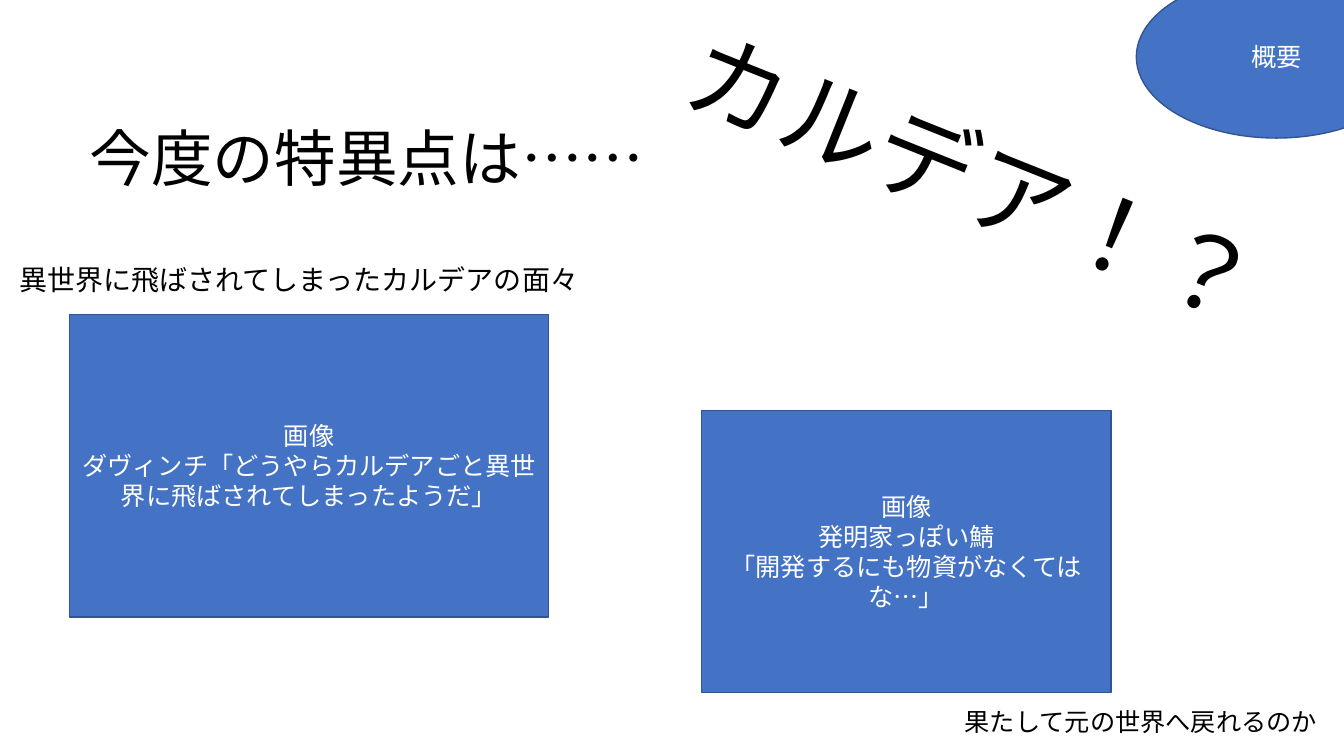
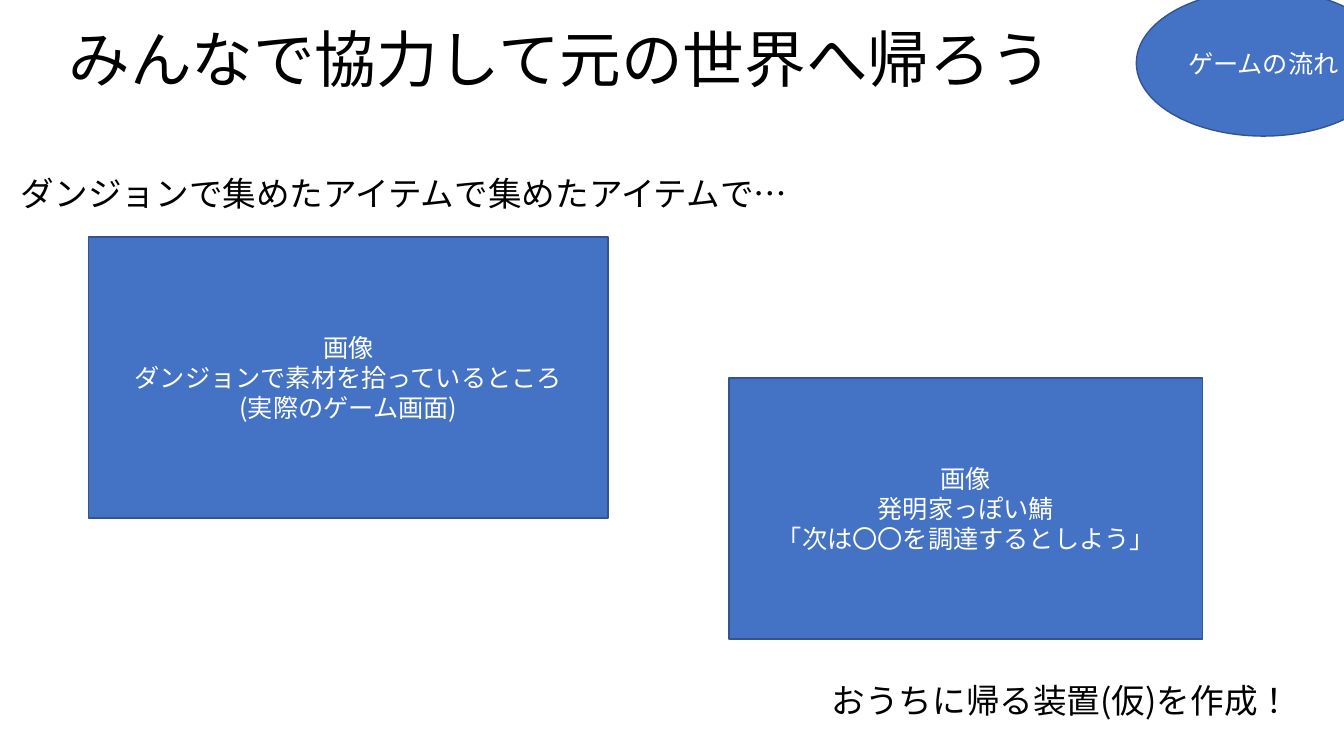
from lxml import etree
from pptx import Presentation
from pptx.dml.color import RGBColor
from pptx.enum.lang import MSO_LANGUAGE_ID
from pptx.enum.shapes import MSO_SHAPE
from pptx.enum.text import MSO_ANCHOR, MSO_AUTO_SIZE, PP_ALIGN
from pptx.oxml.ns import qn
from pptx.util import Inches, Pt


def rgb(value):
    return RGBColor.from_string(value)


class Deck:
    FONT = "Noto Sans CJK JP"
    INK, PAPER, BLUE, EDGE = "000000", "FFFFFF", "4472C4", "325491"
    TITLE_SIZE, SHAPE_SIZE = 44, 18
    TITLE_BOX = (11.5, 1.45)

    def __init__(self):
        self.prs = Presentation()
        self.prs.slide_width = Inches(13.33)
        self.prs.slide_height = Inches(7.5)
        self.slide = None

    def set_text(self, shape, lines, size, color, align, anchor):
        frame = shape.text_frame
        frame.word_wrap = True
        frame.vertical_anchor = anchor
        frame.text = "\n".join(lines)
        for paragraph in frame.paragraphs:
            paragraph.alignment = align
            for run in paragraph.runs:
                font = run.font
                font.size = Pt(size)
                font.color.rgb = rgb(color)
                font.name = self.FONT
                font.language_id = MSO_LANGUAGE_ID.JAPANESE
                latin = run._r.rPr.find(qn("a:latin"))
                east_asian = etree.Element(qn("a:ea"), typeface=self.FONT)
                latin.addnext(east_asian)
        return frame

    def new_slide(self, title, left, top):
        self.slide = self.prs.slides.add_slide(self.prs.slide_layouts[5])
        self.slide.background.fill.solid()
        self.slide.background.fill.fore_color.rgb = rgb(self.PAPER)
        holder = self.slide.shapes.title
        holder.left, holder.top = Inches(left), Inches(top)
        holder.width, holder.height = map(Inches, self.TITLE_BOX)
        frame = self.set_text(holder, [title], self.TITLE_SIZE, self.INK,
                              PP_ALIGN.LEFT, MSO_ANCHOR.MIDDLE)
        frame.auto_size = MSO_AUTO_SIZE.NONE
        frame.paragraphs[0].line_spacing = 0.9

    def caption(self, text, box, size, rotation=0):
        shape = self.slide.shapes.add_textbox(*map(Inches, box))
        shape.rotation = rotation
        frame = self.set_text(shape, [text], size, self.INK,
                              PP_ALIGN.LEFT, MSO_ANCHOR.TOP)
        frame.auto_size = MSO_AUTO_SIZE.SHAPE_TO_FIT_TEXT

    def blue_shape(self, kind, lines, box):
        shape = self.slide.shapes.add_shape(kind, *map(Inches, box))
        shape.shadow.inherit = False
        shape.fill.solid()
        shape.fill.fore_color.rgb = rgb(self.BLUE)
        shape.line.color.rgb = rgb(self.EDGE)
        shape.line.width = Pt(1)
        self.set_text(shape, lines, self.SHAPE_SIZE, self.PAPER,
                      PP_ALIGN.CENTER, MSO_ANCHOR.MIDDLE)

    def scene(self, lines, box):
        self.blue_shape(MSO_SHAPE.RECTANGLE, ["画像", *lines], box)

    def section_badge(self, text, box):
        self.blue_shape(MSO_SHAPE.OVAL, [text], box)


deck = Deck()

deck.new_slide("今度の特異点は……", 0.79, 0.88)
deck.caption("カルデア！？", (6.55, 1.18, 6.6, 1.31), 72, rotation=21.8)
deck.caption("異世界に飛ばされてしまったカルデアの面々", (0.09, 2.56, 7.92, 0.44), 20)
deck.caption("果たして元の世界へ戻れるのか", (9.47, 6.96, 4.42, 0.4), 18)
deck.scene(["ダヴィンチ「どうやらカルデアごと異世界に飛ばされてしまったようだ」"],
           (0.69, 3.12, 4.75, 3))
deck.scene(["発明家っぽい鯖", "「開発するにも物資がなくてはな…」"],
           (6.96, 4.07, 4.06, 2.8))
deck.section_badge("概要", (11.27, -0.24, 2.78, 1.61))

deck.new_slide("みんなで協力して元の世界へ帰ろう", 0.58, -0.1)
deck.caption("ダンジョンで集めたアイテムで集めたアイテムで…", (0.11, 1.67, 8.05, 0.5), 24)
deck.scene(["ダンジョンで素材を拾っているところ", "(実際のゲーム画面)"],
           (0.88, 2.35, 5.15, 2.79))
deck.scene(["発明家っぽい鯖", "「次は〇〇を調達するとしよう」"],
           (7.23, 3.75, 4.7, 2.59))
deck.caption("おうちに帰る装置(仮)を作成！", (8.15, 6.7, 5.25, 0.5), 24)
deck.section_badge("ゲームの流れ", (11.27, -0.1, 2.52, 1.45))

deck.prs.save("out.pptx")
